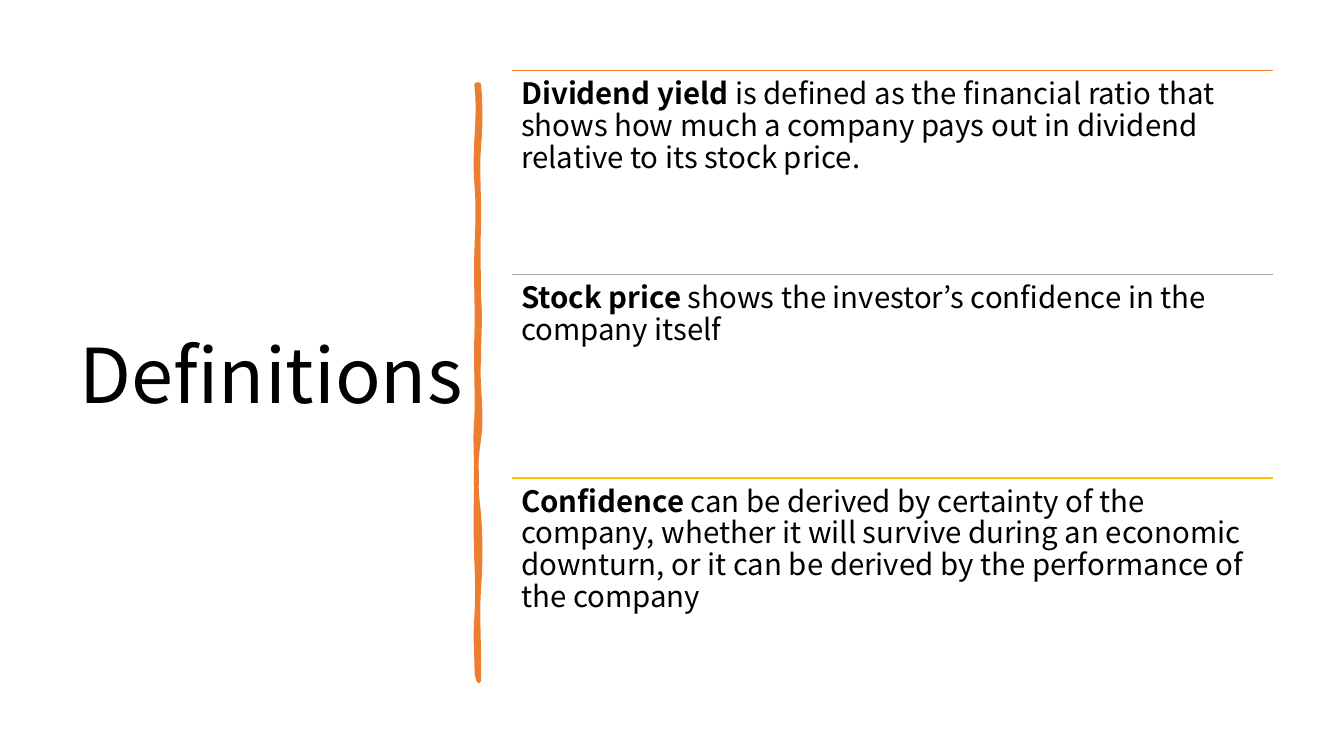
from lxml import etree
from pptx import Presentation
from pptx import util as u
from pptx.dml.color import RGBColor
from pptx.enum import shapes as sh, text as tx
from pptx.oxml.ns import qn

Pt = u.Pt
FONT = "Noto Sans CJK KR"
BLACK, ORANGE, GREY, GOLD = "000000", "ED7D31", "A5A5A5", "FFC000"

TERMS = [
    (ORANGE, "Dividend yield ",
     "is defined as the financial ratio that shows how much a company "
     "pays out in dividend relative to its stock price."),
    (GREY, "Stock price ",
     "shows the investor’s confidence in the company itself"),
    (GOLD, "Confidence",
     " can be derived by certainty of the company, whether it will survive "
     "during an economic downturn, or it can be derived by the performance "
     "of the company"),
]

# Brush edges: end height of each wave, then its two sideways bends
RIGHT = [(44.5, 1.4, 1.4), (102.5, -1.4, 0.7), (151.5, -0.7, 0),
         (195.5, 1.4, 0), (253.5, -1.4, 2.9), (306.5, -2.9, -2.2),
         (360, 1.4, 1.4), (426, -1.4, 0.7)]
LEFT = [(381, 0.7, -1.4), (340.5, 0.7, 0.7), (283, -0.7, -0.7),
        (238.5, 0, -1.4), (180.5, 0.7, -0.7), (119.5, 0.7, -0.7),
        (70, 0.7, 1.4), (0, -2.2, 2.9)]


def color(code):
    return RGBColor.from_string(code)


def style(run, size, bold=False):
    font = run.font
    font.name, font.size, font.bold = FONT, Pt(size), bold
    font.color.rgb = color(BLACK)


def heading(slide, left, top, width, height):
    title = slide.shapes.title
    title.left, title.top = Pt(left), Pt(top)
    title.width, title.height = Pt(width), Pt(height)
    frame = title.text_frame
    frame.text = "Definitions"
    frame.word_wrap = True
    frame.auto_size = tx.MSO_AUTO_SIZE.NONE
    frame.vertical_anchor = tx.MSO_ANCHOR.MIDDLE
    para = frame.paragraphs[0]
    para.alignment = tx.PP_ALIGN.LEFT
    para.line_spacing = 0.9
    style(para.runs[0], 54)


def edge(x, start, waves, steps=8):
    """Points along one wavy side of the brush stroke."""
    points = []
    for end, one, two in waves:
        for i in range(1, steps + 1):
            t = i / steps
            bend = 3 * t * (1 - t) * ((1 - t) * one + t * two)
            points.append((Pt(x + bend), Pt(start + t * (end - start))))
        start = end
    return points


def brush(slide, left, top, width, height):
    right = [(top + y, a, b) for y, a, b in RIGHT]
    back = [(top + y, a, b) for y, a, b in LEFT]
    pen = slide.shapes.build_freeform(Pt(left + width), Pt(top))
    pen.add_line_segments(edge(left + width, top, right)
                          + edge(left, top + height, back))
    stroke = pen.convert_to_shape()
    stroke.shadow.inherit = False
    stroke.fill.solid()
    stroke.fill.fore_color.rgb = color(ORANGE)
    stroke.line.color.rgb = color(ORANGE)
    stroke.line.width = Pt(3.25)
    etree.SubElement(stroke.line._get_or_add_ln(), qn("a:round"))


def entry(slide, left, top, width, height, tint, term, rest):
    # Rule above the entry
    rule = slide.shapes.add_connector(
        sh.MSO_CONNECTOR.STRAIGHT, Pt(left), Pt(top), Pt(left + width), Pt(top))
    rule.line.color.rgb = color(tint)
    rule.line.width = Pt(1)
    etree.SubElement(rule._element.spPr, qn("a:effectLst"))

    # Term and its meaning
    box = slide.shapes.add_textbox(Pt(left), Pt(top), Pt(width), Pt(height))
    frame = box.text_frame
    frame.word_wrap = True
    frame.margin_left = frame.margin_right = Pt(6.3)
    frame.margin_top = frame.margin_bottom = Pt(6.3)
    para = frame.paragraphs[0]
    para.line_spacing = 0.9
    for words, bold in ((term, True), (rest, False)):
        run = para.add_run()
        run.text = words
        style(run, 21, bold)


def entries(slide, left, top, width, height):
    step = height / len(TERMS)
    for i, term in enumerate(TERMS):
        entry(slide, left, top + i * step, width, step, *term)


def main():
    deck = Presentation()
    deck.slide_width, deck.slide_height = Pt(960), Pt(540)
    slide = deck.slides.add_slide(deck.slide_layouts[5])
    heading(slide, 49.7, 50.4, 290, 440)
    brush(slide, 340.5, 60.5, 1.5, 426)
    entries(slide, 366, 50.4, 543.5, 436.5)
    deck.save("out.pptx")


if __name__ == "__main__":
    main()
